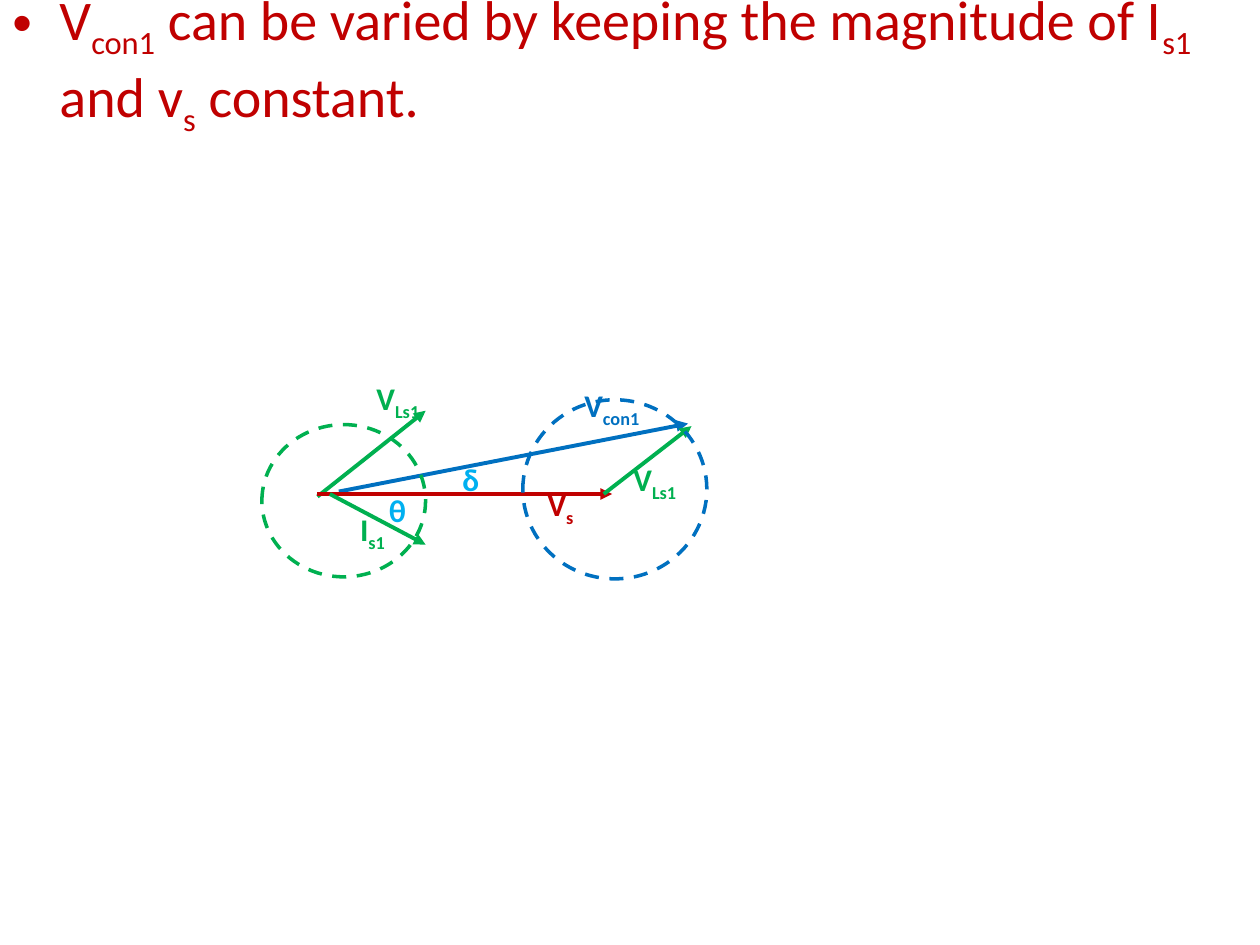
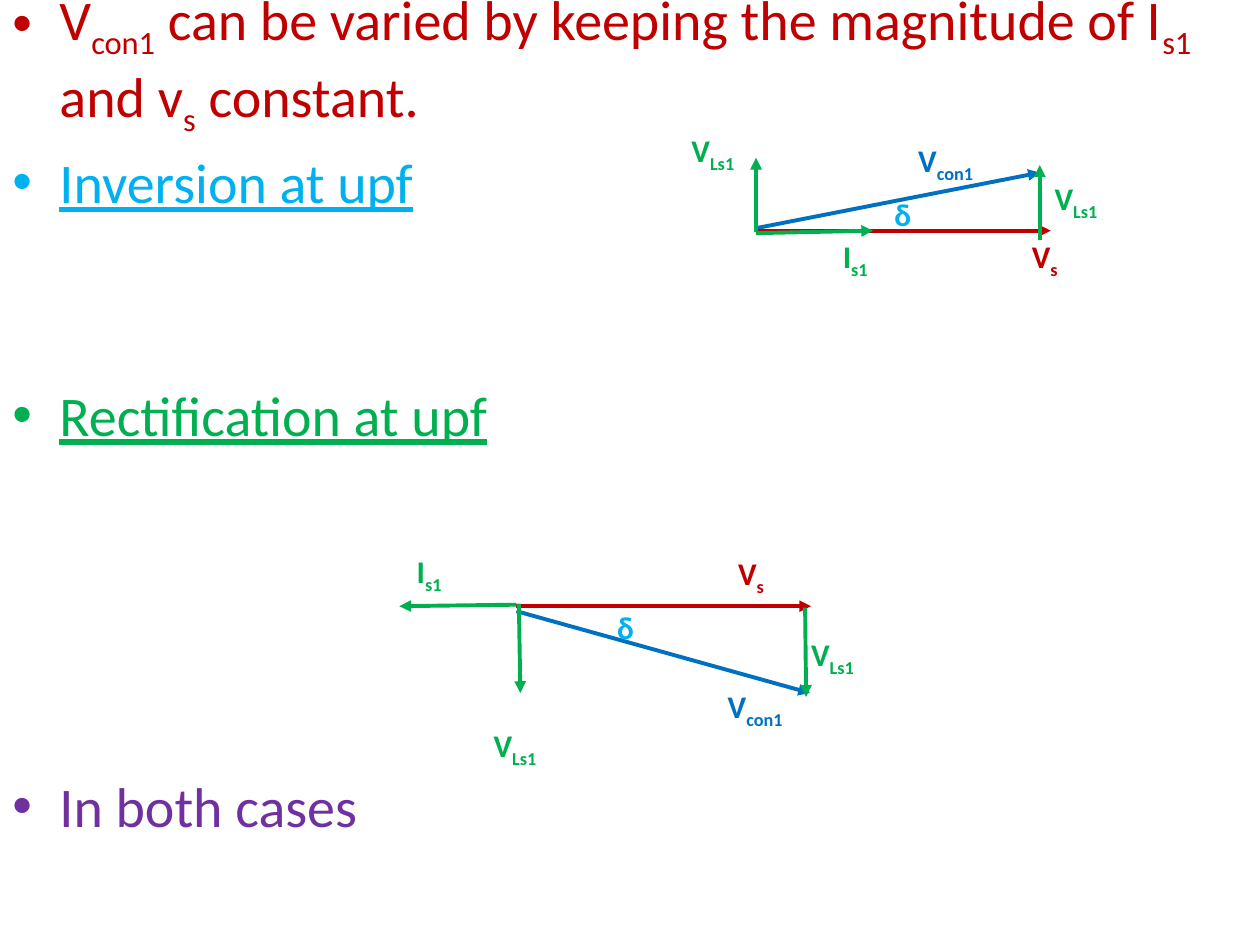
from dataclasses import dataclass

from lxml.etree import SubElement
from pptx import Presentation
from pptx.dml.color import RGBColor
from pptx.enum.dml import MSO_LINE_DASH_STYLE as Dash
from pptx.enum.shapes import MSO_CONNECTOR as Connector, MSO_SHAPE as Shape
from pptx.oxml.ns import qn
from pptx.util import Cm, Pt


@dataclass(frozen=True)
class Theme:
    font: str = "Calibri"
    red: str = "C00000"
    green: str = "00B050"
    blue: str = "0070C0"
    sky: str = "00B0F0"
    purple: str = "7030A0"
    body_size: float = 32
    label_size: float = 18
    arrow_width: float = 2.25
    locus_width: float = 2
    bullet_gap: float = 5.7


@dataclass(frozen=True)
class Box:
    left: float
    top: float
    width: float
    height: float


THEME = Theme()
LABEL_HEIGHT = 1.02
SUPPLY_LENGTH = 5.94

SYMBOLS = {
    "V_Ls1": (THEME.green, 1.6),
    "V_con1": (THEME.blue, 1.98),
    "V_s": (THEME.red, 1.6),
    "I_s1": (THEME.green, 1.22),
    "δ": (THEME.sky, 1.22),
    "θ": (THEME.sky, 1.22),
}

STATEMENT = ["V_con1", " can be varied by keeping the magnitude of I_s1", " and v_s", " constant."]


def add_text_box(slide, box):
    text_box = slide.shapes.add_textbox(Cm(box.left), Cm(box.top), Cm(box.width), Cm(box.height))
    text_box.text_frame.word_wrap = True
    return text_box.text_frame


def write_text(paragraph, pieces, size, color, bold=False, underline=False):
    font = paragraph.font
    font.name, font.size, font.bold, font.underline = THEME.font, Pt(size), bold, underline
    font.color.rgb = RGBColor.from_string(color)
    for piece in pieces:
        base, _, subscript = piece.partition("_")
        paragraph.add_run().text = base
        if subscript:
            run = paragraph.add_run()
            run.text = subscript
            run._r.get_or_add_rPr().set("baseline", "-25000")


def add_bullets(slide, box, bullets):
    frame = add_text_box(slide, box)
    for index, (pieces, color, underline, space_before) in enumerate(bullets):
        paragraph = frame.add_paragraph() if index else frame.paragraphs[0]
        paragraph.space_before = Pt(space_before)
        properties = paragraph._p.get_or_add_pPr()
        properties.set("marL", str(Cm(0.95)))
        properties.set("indent", str(Cm(-0.95)))
        SubElement(properties, qn("a:buFont"), typeface="Arial")
        SubElement(properties, qn("a:buChar"), char="•")
        write_text(paragraph, pieces, THEME.body_size, color, underline=underline)


def add_arrow(slide, box, symbol, start, end):
    (x1, y1), (x2, y2) = start, end
    arrow = slide.shapes.add_connector(
        Connector.STRAIGHT,
        Cm(box.left + x1), Cm(box.top + y1), Cm(box.left + x2), Cm(box.top + y2),
    )
    arrow.line.width = Pt(THEME.arrow_width)
    arrow.line.color.rgb = RGBColor.from_string(SYMBOLS[symbol][0])
    SubElement(arrow.line._get_or_add_ln(), qn("a:tailEnd"), type="triangle")
    SubElement(arrow._element.spPr, qn("a:effectLst"))


def add_label(slide, box, symbol, x, y):
    color, width = SYMBOLS[symbol]
    frame = add_text_box(slide, Box(box.left + x, box.top + y, width, LABEL_HEIGHT))
    write_text(frame.paragraphs[0], [symbol], THEME.label_size, color, bold=True)


def add_locus(slide, box, color, x, y, width, height):
    locus = slide.shapes.add_shape(
        Shape.FLOWCHART_CONNECTOR, Cm(box.left + x), Cm(box.top + y), Cm(width), Cm(height)
    )
    locus.shadow.inherit = False
    locus.fill.background()
    locus.line.color.rgb = RGBColor.from_string(color)
    locus.line.width = Pt(THEME.locus_width)
    locus.line.dash_style = Dash.DASH


def add_phasors(slide, box, arrows, labels):
    for arrow in arrows:
        add_arrow(slide, box, *arrow)
    for label in labels:
        add_label(slide, box, *label)


def add_loci_diagram(slide, box):
    y = box.height / 2
    x = 1.12
    origin = Box(box.left + x, box.top + y, box.width - x, y)
    add_phasors(
        slide,
        origin,
        [
            ("V_con1", (0.43, -0.05), (7.47, -1.42)),
            ("V_Ls1", (0, 0.05), (2.18, -1.68)),
            ("V_s", (0, 0), (SUPPLY_LENGTH, 0)),
            ("I_s1", (0.25, 0), (2.18, 1.02)),
            ("V_Ls1", (5.77, 0), (7.54, -1.37)),
        ],
        [
            ("θ", 1.19, -0.18),
            ("V_Ls1", 6.12, -0.81),
            ("V_con1", 5.13, -2.31),
            ("δ", 2.67, -0.81),
            ("I_s1", 0.61, 0.2),
            ("V_Ls1", 0.94, -2.44),
            ("V_s", 4.39, -0.3),
        ],
    )
    add_locus(slide, origin, THEME.green, -x, -1.4, 3.3, 3.07)
    add_locus(slide, origin, THEME.blue, 4.14, -1.9, 3.71, 3.61)


def add_inversion_diagram(slide, box):
    x, y = 1.55, 2.13
    add_phasors(
        slide,
        Box(box.left + x, box.top + y, box.width - x, box.height - y),
        [
            ("V_con1", (0, -0.05), (5.72, -1.17)),
            ("V_s", (0, 0), (SUPPLY_LENGTH, 0)),
            ("I_s1", (0, 0.05), (2.36, 0)),
            ("V_Ls1", (0, 0.03), (0, -1.47)),
            ("V_Ls1", (5.72, 0.18), (5.72, -1.32)),
        ],
        [
            ("V_Ls1", -x, -y),
            ("V_con1", 3.02, -1.93),
            ("δ", 2.54, -0.84),
            ("I_s1", 1.5, 0),
            ("V_s", 5.31, 0),
            ("V_Ls1", 5.77, -1.17),
        ],
    )


def add_rectification_diagram(slide, box):
    x, y = 2.36, 1.22
    add_phasors(
        slide,
        Box(box.left + x, box.top + y, box.width - x, box.height - y),
        [
            ("V_con1", (0, 0.1), (5.92, 1.75)),
            ("V_s", (0, 0), (SUPPLY_LENGTH, 0)),
            ("I_s1", (0, -0.03), (-x, 0)),
            ("V_Ls1", (0.05, -0.05), (0.08, 1.75)),
            ("V_Ls1", (5.82, 0.03), (5.84, 1.83)),
        ],
        [
            ("V_Ls1", -0.71, 2.29),
            ("V_con1", 4.01, 1.5),
            ("δ", 1.78, -0.08),
            ("V_Ls1", 5.69, 0.46),
            ("I_s1", -2.26, -y),
            ("V_s", 4.22, -1.17),
        ],
    )


def main():
    presentation = Presentation()
    presentation.slide_width, presentation.slide_height = Cm(25.4), Cm(19.05)
    blank = presentation.slide_layouts[6]
    body = Box(0, -0.43, 24.77, 18.21)
    statement = (STATEMENT, THEME.red, False, THEME.bullet_gap)

    loci_slide = presentation.slides.add_slide(blank)
    add_bullets(loci_slide, body, [statement])
    add_loci_diagram(loci_slide, Box(5.28, 7.52, 8.97, 4.88))

    cases_slide = presentation.slides.add_slide(blank)
    add_bullets(
        cases_slide,
        body,
        [
            statement,
            (["Inversion at upf"], THEME.sky, True, THEME.bullet_gap),
            (["Rectification at upf"], THEME.green, True, 94.6),
            (["In both cases"], THEME.purple, False, 184.9),
        ],
    )
    add_inversion_diagram(cases_slide, Box(13.69, 2.52, 8.92, 3.15))
    add_rectification_diagram(cases_slide, Box(8.05, 11, 9.65, 4.53))

    presentation.save("out.pptx")


if __name__ == "__main__":
    main()
